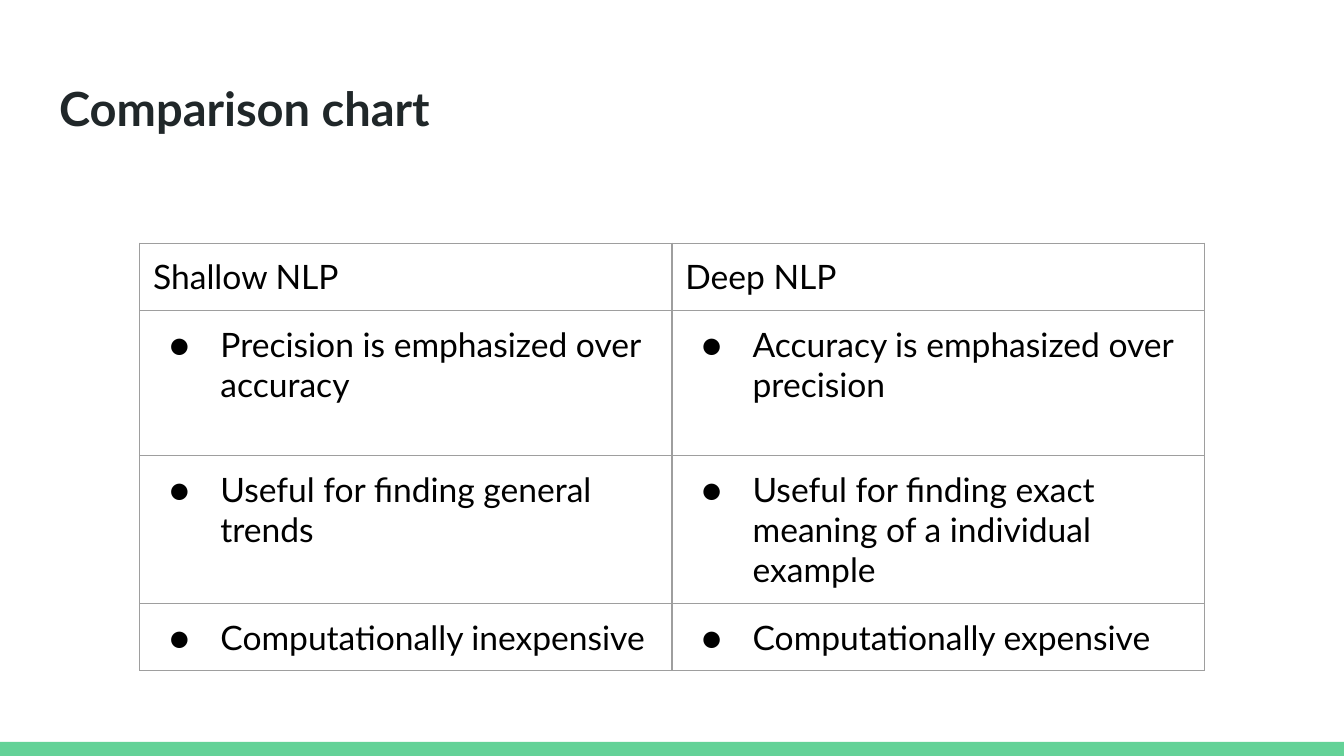
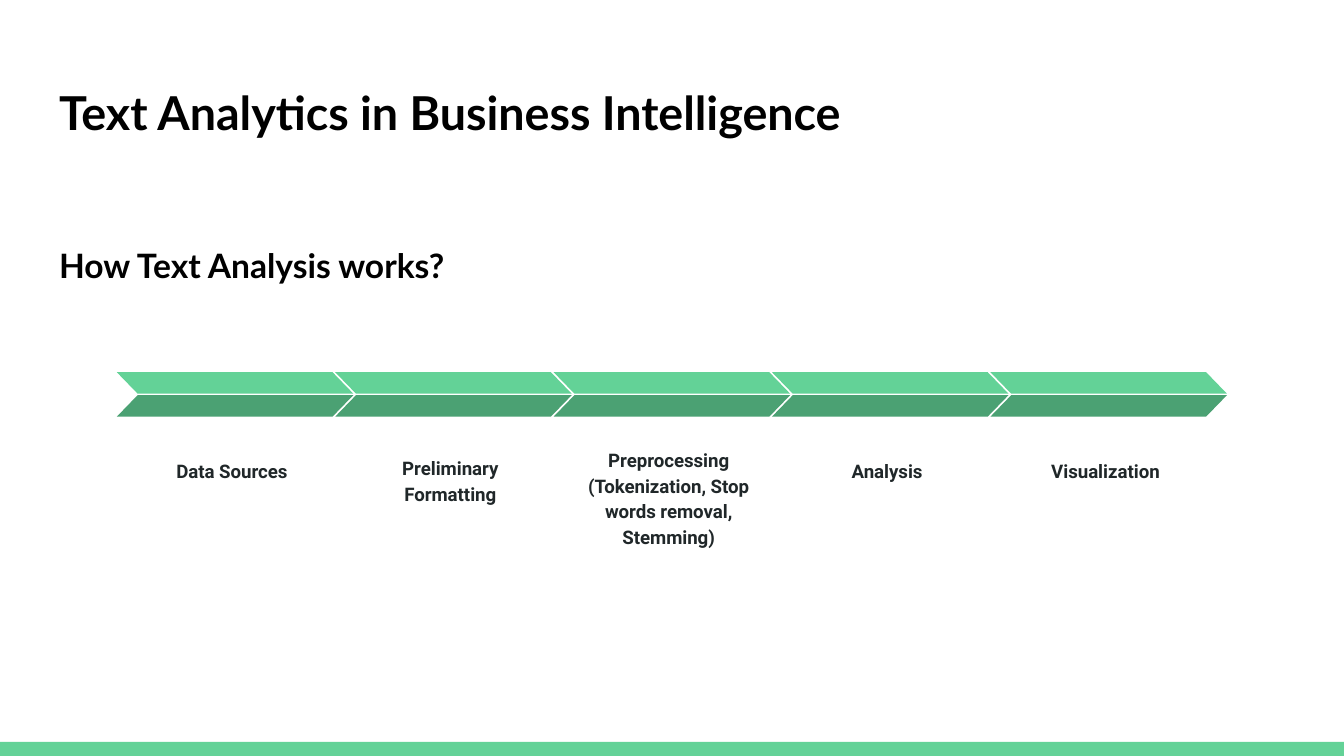
from pptx import Presentation
from pptx.dml.color import RGBColor
from pptx.enum.shapes import MSO_SHAPE
from pptx.enum.text import MSO_ANCHOR, MSO_AUTO_SIZE, PP_ALIGN
from pptx.oxml import parse_xml
from pptx.oxml.ns import nsdecls, qn
from pptx.util import Inches, Pt

HUES = {"mint": "63D297", "green": "4BA173", "ink": "202729",
        "black": "000000", "grey": "9E9E9E"}


def write(par, text, size, hue, font="Lato", bold=True):
    run = par.add_run()
    run.text = text
    run.font.name = font
    run.font.size = Pt(size)
    run.font.bold = bold
    run.font.color.rgb = RGBColor.from_string(HUES[hue])


def place(box, left, top, width, height, anchor=MSO_ANCHOR.TOP):
    box.left, box.top = Inches(left), Inches(top)
    box.width, box.height = Inches(width), Inches(height)
    frame = box.text_frame
    frame.word_wrap = True
    frame.auto_size = MSO_AUTO_SIZE.NONE
    frame.vertical_anchor = anchor
    frame.margin_left = frame.margin_right = Inches(0.1)
    frame.margin_top = frame.margin_bottom = Inches(0.1)
    return frame


deck = Presentation()
deck.slide_width, deck.slide_height = Inches(10), Inches(10 * 9 / 16)

first = deck.slides.add_slide(deck.slide_layouts[5])
band = first.shapes.add_shape(
    MSO_SHAPE.RECTANGLE, 0, Inches(5.52), Inches(10), Inches(0.11))
band.shadow.inherit = False
band.fill.solid()
band.fill.fore_color.rgb = RGBColor.from_string(HUES["mint"])
band.line.fill.background()
deck.slide_master.shapes.element.insert(2, band.element)

par = place(first.shapes.title, 0.34, 0.49, 9.32, 0.63).paragraphs[0]
par.alignment = PP_ALIGN.LEFT
write(par, "Comparison chart", 25.2, "ink")

rows = [
    (0.5, "Shallow NLP", "Deep NLP"),
    (1.08, "Precision is emphasized over accuracy",
     "Accuracy is emphasized over precision"),
    (1.1, "Useful for finding general trends",
     "Useful for finding exact meaning of a individual example"),
    (0.5, "Computationally inexpensive", "Computationally expensive"),
]
grid = first.shapes.add_table(
    len(rows), 2, Inches(1.04), Inches(1.81), Inches(7.92), Inches(3.18)).table
grid.first_row = grid.horz_banding = False
for r, (height, *texts) in enumerate(rows):
    grid.rows[r].height = Inches(height)
    for c, text in enumerate(texts):
        cell = grid.cell(r, c)
        cell.margin_left = cell.margin_right = Inches(0.1)
        cell.margin_top = cell.margin_bottom = Inches(0.1)
        cell.fill.background()
        props = cell._tc.get_or_add_tcPr()
        for n, side in enumerate(("lnL", "lnR", "lnT", "lnB")):
            props.insert(n, parse_xml(
                f'<a:{side} {nsdecls("a")} w="9525"><a:solidFill>'
                f'<a:srgbClr val="{HUES["grey"]}"/></a:solidFill></a:{side}>'))
        par = cell.text_frame.paragraphs[0]
        if r:
            style = par._p.get_or_add_pPr()
            style.set("marL", str(Inches(0.5)))
            style.set("indent", str(Inches(-0.38)))
            for mark in (f'buClr {nsdecls("a")}><a:srgbClr val="{HUES["black"]}"/></a:buClr',
                         f'buSzPts {nsdecls("a")} val="1800"/',
                         f'buFont {nsdecls("a")} typeface="Lato"/',
                         f'buChar {nsdecls("a")} char="●"/'):
                style.append(parse_xml(f"<a:{mark}>"))
        write(par, text, 18, "black", bold=False)

second = deck.slides.add_slide(deck.slide_layouts[1])
title = second.shapes.title.element
title.getparent().remove(title)
frame = place(second.placeholders[1], 0.34, 0.5, 9.32, 1.76)
heads = [("Text Analytics in Business Intelligence", 25, 0),
         ("How Text Analysis works?", 18, 55.5)]
for n, (text, size, gap) in enumerate(heads):
    par = frame.add_paragraph() if n else frame.paragraphs[0]
    style = par._p.get_or_add_pPr()
    style.set("marL", "0")
    style.set("indent", "0")
    style.append(parse_xml(f'<a:buNone {nsdecls("a")}/>'))
    par.line_spacing = 1.05
    par.space_before = Pt(gap)
    write(par, text, size, "black")

steps = [
    (3.2, 0.49, ["Data Sources"]),
    (3.37, 0.49, ["Preliminary Formatting"]),
    (3.27, 0.91, ["Preprocessing", "(Tokenization, Stop words removal, Stemming)"]),
    (3.2, 0.49, ["Analysis"]),
    (3.2, 0.49, ["Visualization"]),
]
for n, (top, height, lines) in enumerate(steps):
    left = 0.87 + 6.5 / 4 * n
    group = second.shapes.add_group_shape()
    for y, hue in ((2.77, "mint"), (2.94, "green")):
        half = group.shapes.add_shape(
            MSO_SHAPE.PARALLELOGRAM, Inches(left), Inches(y), Inches(1.76), Inches(0.16))
        half.adjustments[0] = 0.97
        half.shadow.inherit = False
        half.fill.solid()
        half.fill.fore_color.rgb = RGBColor.from_string(HUES[hue])
        half.line.fill.background()
        if hue == "mint":
            half.element.spPr.find(qn("a:xfrm")).set("flipH", "1")
    label = group.shapes.add_textbox(
        Inches(left + 0.13), Inches(top), Inches(1.45), Inches(height))
    frame = place(label, left + 0.13, top, 1.45, height, MSO_ANCHOR.BOTTOM)
    for k, line in enumerate(lines):
        par = frame.add_paragraph() if k else frame.paragraphs[0]
        par.alignment = PP_ALIGN.CENTER
        par.line_spacing = 1.15
        write(par, line, 10, "ink", "Roboto")

deck.save("out.pptx")
